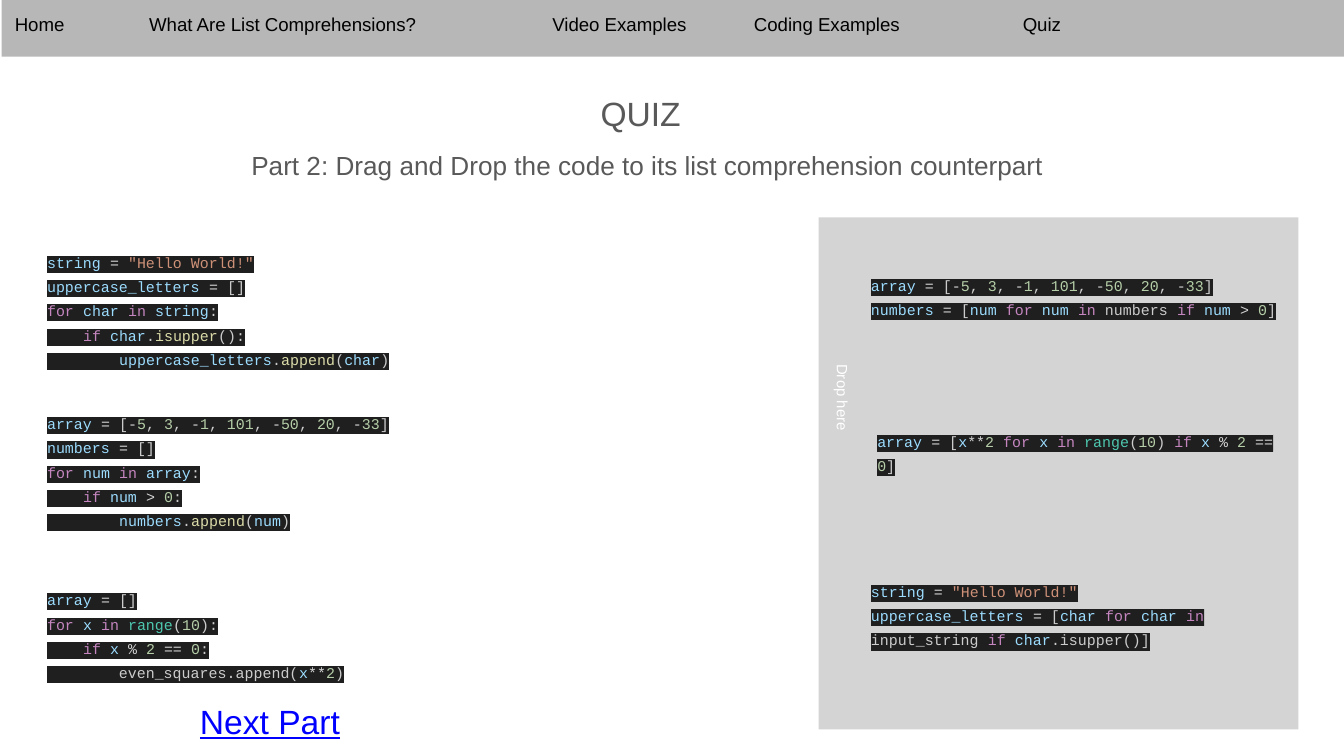
from dataclasses import dataclass
from itertools import groupby

from lxml.etree import SubElement
from pptx import Presentation
from pptx.dml.color import RGBColor as Color
from pptx.enum.shapes import MSO_SHAPE as Shape
from pptx.enum.text import MSO_ANCHOR as Anchor, PP_ALIGN as Align
from pptx.oxml.ns import qn
from pptx.util import Cm, Pt


@dataclass(frozen=True)
class Theme:
    sans: str = "Arial"
    mono: str = "Courier New"
    title: int = 18
    subtitle: int = 14
    menu: int = 10
    small: int = 8
    black: str = "000000"
    white: str = "FFFFFF"
    grey: str = "595959"
    bar: str = "B7B7B7"
    panel: str = "D4D4D4"
    link: str = "0000FF"
    code_back: str = "1F1F1F"
    name: str = "9CDCFE"
    plain: str = "CCCCCC"
    operator: str = "D4D4D4"
    string: str = "CE9178"
    number: str = "B5CEA8"
    keyword: str = "C586C0"
    method: str = "DCDCAA"
    builtin: str = "4EC9B0"


theme = Theme()
word_colors = {
    "for": theme.keyword, "in": theme.keyword, "if": theme.keyword,
    "append": theme.method, "isupper": theme.method, "range": theme.builtin,
}


def add_span(para, text, size, color, font=theme.sans):
    span = para.add_run()
    span.text = text
    span.font.size = Pt(size)
    span.font.name = font
    span.font.color.rgb = Color.from_string(color)
    return span


def color_tokens(line):
    for index, piece in enumerate(line.split("`")):
        if index % 2:
            yield piece, theme.string if piece.startswith('"') else theme.plain
            continue
        kinds = groupby(piece, lambda sign: "word" if sign.isalnum() or sign == "_"
                        else "operator" if sign in "=-*>%" else "plain")
        for kind, signs in kinds:
            token = "".join(signs)
            if kind == "word":
                default = theme.number if token.isdigit() else theme.name
                yield token, word_colors.get(token, default)
            else:
                yield token, theme.operator if kind == "operator" else theme.plain


deck = Presentation()
deck.slide_width, deck.slide_height = Cm(25.4), Cm(14.29)
page = deck.slides.add_slide(deck.slide_layouts[6])

menu_text = "Home \t\tWhat Are List Comprehensions?\t\t\tVideo Examples\t\tCoding Examples\t\tQuiz"
subtitle_text = "Part 2: Drag and Drop the code to its list comprehension counterpart"
labels = [
    (0.03, 0, 25.4, 1.07, theme.bar, menu_text, theme.menu, theme.black, 0),
    (11.1, 1.5, 3.23, 1.24, None, "QUIZ", theme.title, theme.grey, 0),
    (4.5, 2.57, 19.71, 1.12, None, subtitle_text, theme.subtitle, theme.grey, 0),
    (15.47, 4.11, 9.07, 9.68, theme.panel, "", theme.small, theme.white, 0),
    (13.59, 8.53, 4.65, 0.86, theme.panel, "Drop here", theme.small, theme.white, 90),
    (3.53, 13, 8.05, 1.27, None, "Next Part", theme.title, theme.link, 0),
]
for left, top, width, height, fill, text, size, color, turn in labels:
    place = Cm(left), Cm(top), Cm(width), Cm(height)
    if fill:
        box = page.shapes.add_shape(Shape.RECTANGLE, *place)
        box.shadow.inherit = False
        box.fill.solid()
        box.fill.fore_color.rgb = Color.from_string(fill)
        box.line.fill.background()
    else:
        box = page.shapes.add_textbox(*place)
    box.rotation = turn
    frame = box.text_frame
    frame.word_wrap = True
    frame.vertical_anchor = Anchor.TOP
    frame.margin_left = frame.margin_right = frame.margin_top = frame.margin_bottom = Cm(0.25)
    if text:
        para = frame.paragraphs[0]
        para.alignment = Align.LEFT
        span = add_span(para, text, size, color)
        if color == theme.link:
            span.font.underline = True

greeting = 'string = `"Hello World!"`'
numbers = "array = [-5, 3, -1, 101, -50, 20, -33]"
snippets = [
    (0.64, 4.42, 2.72, [
        greeting,
        "uppercase_letters = []",
        "for char in string:",
        "    if char.isupper():",
        "        uppercase_letters.append(char)",
    ]),
    (0.64, 7.47, 2.72, [
        numbers,
        "numbers = []",
        "for num in array:",
        "    if num > 0:",
        "        numbers.append(num)",
    ]),
    (0.64, 10.8, 2.72, [
        "array = []",
        "for x in range(10):",
        "    if x % 2 == 0:",
        "`        even_squares.append(`x**2)",
    ]),
    (16.21, 4.85, 1.32, [
        numbers,
        "numbers = [num for num in` numbers `if num > 0]",
    ]),
    (16.33, 7.8, 1.32, ["array = [x**2 for x in range(10) if x % 2 == 0]"]),
    (16.21, 10.64, 1.78, [
        greeting,
        "uppercase_letters = [char for char in` input_string `if char`.isupper()]`",
    ]),
]
for left, top, height, lines in snippets:
    box = page.shapes.add_textbox(Cm(left), Cm(top), Cm(8.33), Cm(height))
    frame = box.text_frame
    frame.word_wrap = True
    frame.margin_left = frame.margin_right = frame.margin_top = frame.margin_bottom = Cm(0.25)
    for index, line in enumerate(lines):
        para = frame.add_paragraph() if index else frame.paragraphs[0]
        para.line_spacing = 1.36
        for token, color in color_tokens(line):
            span = add_span(para, token, theme.small, color, theme.mono)
            properties = span.font.fill._xPr
            highlight = SubElement(properties, qn("a:highlight"))
            SubElement(highlight, qn("a:srgbClr"), val=theme.code_back)
            properties.find(qn("a:solidFill")).addnext(highlight)

deck.save("out.pptx")
